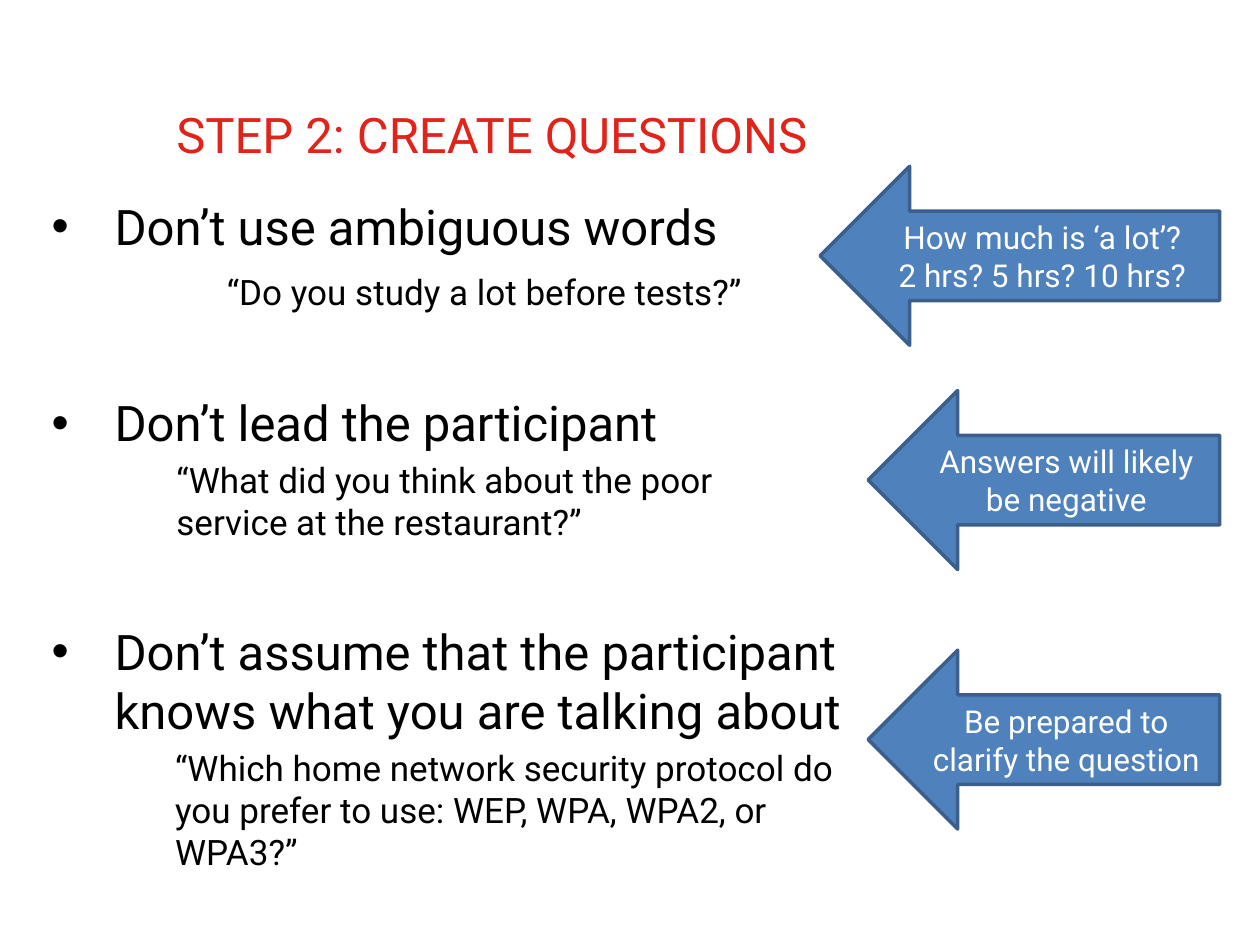
from lxml.etree import SubElement
from pptx import Presentation
from pptx.dml.color import RGBColor
from pptx.enum.shapes import MSO_SHAPE
from pptx.enum.text import MSO_ANCHOR, MSO_AUTO_SIZE, PP_ALIGN
from pptx.oxml.ns import qn
from pptx.util import Inches, Pt

COLORS = {"title": "E2231A", "body": "000000", "arrow": "4F81BD",
          "outline": "3A5F8C", "note": "FFFFFF"}
FONT = "Roboto"
TITLE = "STEP 2: CREATE QUESTIONS"
RULES = [
    {"rule": "Don’t use ambiguous words",
     "example": "“Do you study a lot before tests?”",
     "indent": 1.39, "gaps": (0, 8.5),
     "note": "How much is ‘a lot’?\v2 hrs? 5 hrs? 10 hrs?", "arrow": (6.51, 1.32)},
    {"rule": "Don’t lead the participant",
     "example": "“What did you think about the poor\vservice at the restaurant?”",
     "indent": 0.99, "gaps": (46, 4),
     "note": "Answers will likely be negative", "arrow": (6.89, 3.1)},
    {"rule": "Don’t assume that the participant knows what you are talking about",
     "example": "“Which home network security protocol do you prefer to use: "
                "WEP, WPA, WPA2, or WPA3?”",
     "indent": 0.98, "gaps": (45, 4),
     "note": "Be prepared to clarify the question", "arrow": (6.89, 5.16)},
]
ARROW_RIGHT, ARROW_HEIGHT = 9.68, 1.42


def color(name):
    return RGBColor.from_string(COLORS[name])


def place(sp, left, top, width, height):
    sp.left, sp.top = Inches(left), Inches(top)
    sp.width, sp.height = Inches(width), Inches(height)


def style(p, size, name, align=PP_ALIGN.LEFT):
    p.alignment = align
    for r in p.runs:
        r.font.name, r.font.size = FONT, Pt(size)
        r.font.color.rgb = color(name)


def add_item(p, text, size, gap, left, bullet):
    p.text = text
    p.space_before = Pt(gap)
    style(p, size, "body")
    pPr = p._p.get_or_add_pPr()
    pPr.set("marL", str(Inches(left)))
    pPr.set("indent", str(Inches(-left if bullet else 0)))
    if bullet:
        SubElement(pPr, qn("a:buFont")).set("typeface", "Arial")
        SubElement(pPr, qn("a:buChar")).set("char", "•")
    else:
        SubElement(pPr, qn("a:buNone"))


def add_title(s):
    sp = s.shapes.title
    place(sp, 1.4, 0.47, 6.98, 0.83)
    tf = sp.text_frame
    tf.text = TITLE
    tf.auto_size = MSO_AUTO_SIZE.NONE
    tf.vertical_anchor = MSO_ANCHOR.BOTTOM
    tf.margin_left = tf.margin_right = tf.margin_top = tf.margin_bottom = 0
    style(tf.paragraphs[0], 28, "title")


def add_rules(s):
    sp = s.placeholders[1]
    place(sp, 0.31, 1.51, 6.79, 5.71)
    tf = sp.text_frame
    tf.auto_size = MSO_AUTO_SIZE.NONE
    for i, item in enumerate(RULES):
        rule_gap, example_gap = item["gaps"]
        p = tf.add_paragraph() if i else tf.paragraphs[0]
        add_item(p, item["rule"], 28, rule_gap, 0.5, True)
        add_item(tf.add_paragraph(), item["example"], 20, example_gap,
                 item["indent"], False)


def add_arrow(s, text, left, top):
    sp = s.shapes.add_shape(MSO_SHAPE.LEFT_ARROW, 0, 0, 0, 0)
    place(sp, left, top, ARROW_RIGHT - left, ARROW_HEIGHT)
    sp.shadow.inherit = False
    sp.fill.solid()
    sp.fill.fore_color.rgb = color("arrow")
    sp.line.color.rgb = color("outline")
    sp.line.width = Pt(2)
    tf = sp.text_frame
    tf.word_wrap = True
    tf.vertical_anchor = MSO_ANCHOR.MIDDLE
    p = tf.paragraphs[0]
    p.text = text
    style(p, 18, "note", PP_ALIGN.CENTER)


def main():
    """Build the slide on writing survey questions."""
    prs = Presentation()
    prs.slide_width, prs.slide_height = Inches(10), Inches(7.5)
    s = prs.slides.add_slide(prs.slide_layouts[1])
    add_title(s)
    add_rules(s)
    for item in RULES:
        add_arrow(s, item["note"], *item["arrow"])
    prs.save("out.pptx")


if __name__ == "__main__":
    main()
